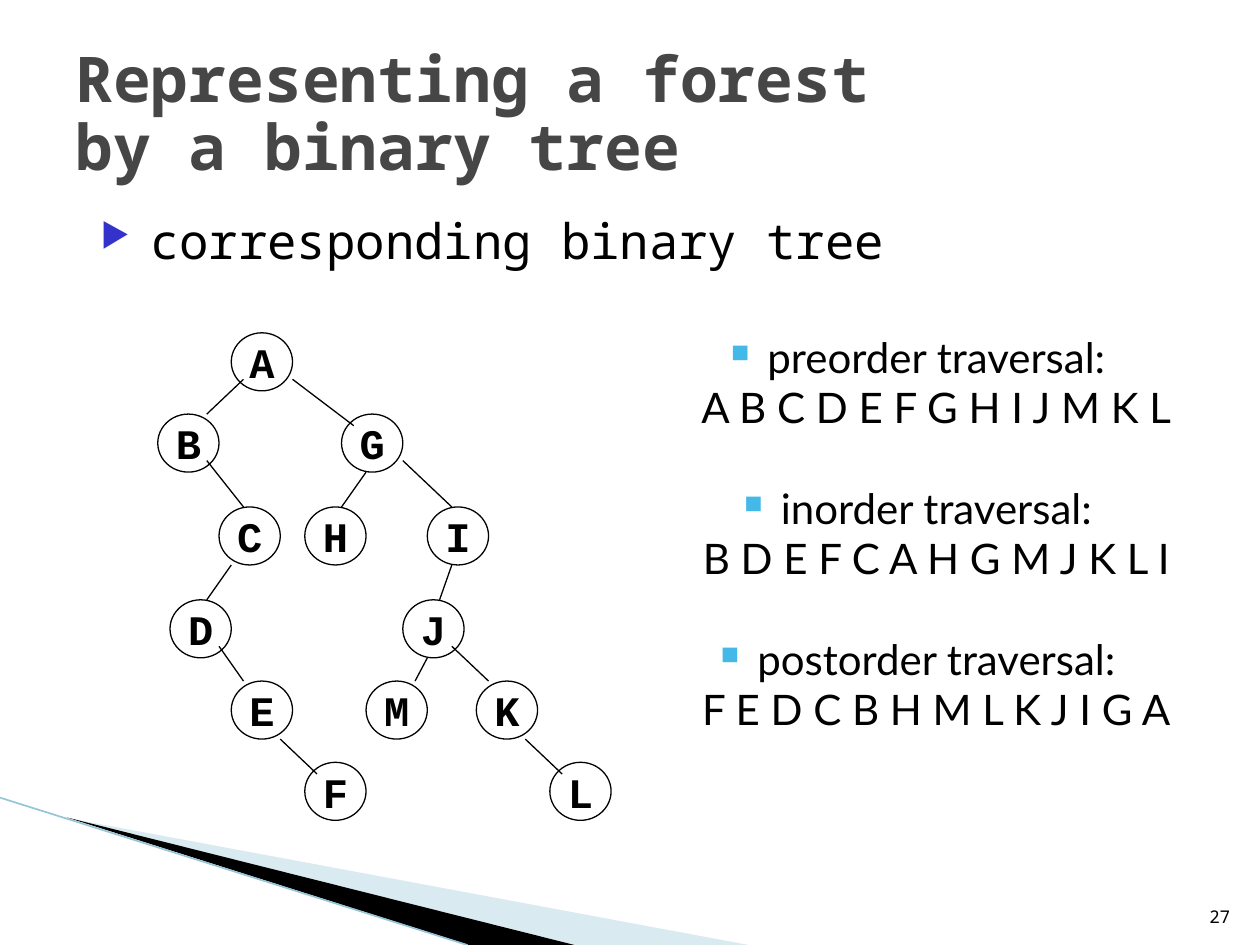
from lxml.etree import SubElement
from pptx import Presentation
from pptx.dml.color import RGBColor
from pptx.enum.shapes import MSO_CONNECTOR, MSO_SHAPE
from pptx.enum.text import MSO_ANCHOR, PP_ALIGN
from pptx.oxml.ns import qn
from pptx.util import Cm, Pt

MONO, SANS, CODE = "Noto Sans Mono", "Lato", "Courier New"
BLACK = "000000"

TITLE = "Representing a forest \vby a binary tree"
SUBTITLE = "corresponding binary tree"
TRAVERSALS = [
    ("preorder traversal:", "A B C D E F G H I J M K L"),
    ("inorder traversal:", "B D E F C A H G M J K L I"),
    ("postorder traversal:", "F E D C B H M L K J I G A"),
]
SLIDE_NUMBER = "27"

# The tree lies on a fine grid; a node is NODE_SPAN units wide and high.
TREE_LEFT, TREE_TOP = 3.18, 6.71
UNIT_X, UNIT_Y = 0.247, 0.234
NODE_SPAN = 5
NODES = {
    "A": (6, 0), "B": (0, 7), "C": (5, 15), "G": (15, 7), "D": (1, 23),
    "E": (6, 30), "F": (12, 37), "H": (12, 15), "I": (22, 15),
    "J": (20, 23), "M": (17, 30), "K": (26, 30), "L": (32, 37),
}
EDGES = [
    ((4, 7), (7, 4)), ((4, 11), (7, 15)), ((6, 20), (4, 23)),
    ((5, 27), (7, 30)), ((10, 35), (13, 38)), ((11, 4), (16, 8)),
    ((17, 12), (15, 15)), ((20, 11), (24, 15)), ((24, 20), (23, 23)),
    ((22, 28), (21, 30)), ((24, 27), (27, 30)), ((30, 35), (33, 38)),
]

# Corner wedges: points in cm, fill colour, opacity in percent
WEDGES = [
    ([(1.4, 16.5), (15.09, 19.05), (11.58, 19.05)], "A0CBDC", 40),
    ([(1.35, 16.48), (11.58, 19.05), (9.45, 19.05)], BLACK, 100),
]


def rgb(color):
    return RGBColor.from_string(color)


def set_bullet(paragraph, character, color, percent):
    properties = paragraph._p.get_or_add_pPr()
    bullet_color = SubElement(properties, qn("a:buClr"))
    SubElement(bullet_color, qn("a:srgbClr"), val=color)
    SubElement(properties, qn("a:buSzPct"), val=str(percent * 1000))
    SubElement(properties, qn("a:buChar"), char=character)


def write(paragraph, text, font=MONO, size=24, color=BLACK, bold=False,
          align=PP_ALIGN.LEFT, margin=0, bullet=None, before=0, spacing=None):
    """Fill a paragraph; bullet is (character, colour, percent), margin is in cm."""
    paragraph.text = text
    paragraph.alignment = align
    paragraph.space_before = Pt(before)
    if spacing:
        paragraph.line_spacing = spacing
    if margin:
        properties = paragraph._p.get_or_add_pPr()
        properties.set("marL", str(Cm(margin)))
        properties.set("indent", str(-Cm(margin) if bullet else 0))
    if bullet:
        set_bullet(paragraph, *bullet)
    for run in paragraph.runs:
        run.font.name = font
        run.font.size = Pt(size)
        run.font.bold = bold
        run.font.color.rgb = rgb(color)


def add_text_frame(slide, left, top, width, height, anchor=MSO_ANCHOR.TOP):
    box = slide.shapes.add_textbox(Cm(left), Cm(top), Cm(width), Cm(height))
    box.text_frame.word_wrap = True
    box.text_frame.vertical_anchor = anchor
    return box.text_frame


def add_line(slide, start, end, color=BLACK, width=0.75):
    points = [Cm(value) for value in (*start, *end)]
    line = slide.shapes.add_connector(MSO_CONNECTOR.STRAIGHT, *points)
    line.line.color.rgb = rgb(color)
    line.line.width = Pt(width)
    SubElement(line._element.spPr, qn("a:effectLst"))


def add_wedge(slide, points, color, opacity):
    corners = [(Cm(x), Cm(y)) for x, y in points]
    builder = slide.shapes.build_freeform(*corners[0])
    builder.add_line_segments(corners[1:], close=True)
    wedge = builder.convert_to_shape()
    wedge.shadow.inherit = False
    wedge.fill.solid()
    wedge.fill.fore_color.rgb = rgb(color)
    wedge.line.fill.background()
    if opacity < 100:
        fill = wedge._element.spPr.find(qn("a:solidFill"))
        SubElement(fill[0], qn("a:alpha"), val=str(opacity * 1000))


def grid_point(column, row):
    return TREE_LEFT + column * UNIT_X, TREE_TOP + row * UNIT_Y


def add_node(slide, letter, column, row):
    left, top = grid_point(column, row)
    node = slide.shapes.add_shape(
        MSO_SHAPE.OVAL, Cm(left), Cm(top),
        Cm(NODE_SPAN * UNIT_X), Cm(NODE_SPAN * UNIT_Y))
    node.shadow.inherit = False
    node.fill.background()
    node.line.color.rgb = rgb(BLACK)
    node.line.width = Pt(0.75)
    frame = node.text_frame
    frame.word_wrap = False
    frame.vertical_anchor = MSO_ANCHOR.MIDDLE
    write(frame.paragraphs[0], letter, font=CODE, bold=True, align=PP_ALIGN.CENTER)


def add_traversals(slide):
    frame = add_text_frame(slide, 12.7, 6.55, 11.61, 8.38)
    style = {"font": SANS, "align": PP_ALIGN.CENTER, "margin": 0.74}
    for index, (name, order) in enumerate(TRAVERSALS):
        heading = frame.add_paragraph() if index else frame.paragraphs[0]
        write(heading, name, bullet=("■", "44B9E8", 60),
              before=28.8 if index else 0, **style)
        write(frame.add_paragraph(), order, **style)


def main():
    presentation = Presentation()
    presentation.slide_width, presentation.slide_height = Cm(25.4), Cm(19.05)
    slide = presentation.slides.add_slide(presentation.slide_layouts[6])

    for points, color, opacity in WEDGES:
        add_wedge(slide, points, color, opacity)
    add_line(slide, (0, 16.08), (9.42, 19.05), color="97C5D8", width=0.95)

    title = add_text_frame(slide, 1.27, 0.76, 22.86, 3.18, MSO_ANCHOR.MIDDLE)
    write(title.paragraphs[0], TITLE, size=36, color="464646", bold=True, spacing=0.9)
    body = add_text_frame(slide, 1.78, 4.11, 22.91, 14.2)
    write(body.paragraphs[0], SUBTITLE, size=28, margin=1, bullet=("▶", "3333CC", 68))

    for letter, (column, row) in NODES.items():
        add_node(slide, letter, column, row)
    for start, end in EDGES:
        add_line(slide, grid_point(*start), grid_point(*end))

    add_traversals(slide)
    number = add_text_frame(slide, 24.03, 17.8, 1.02, 1.02, MSO_ANCHOR.BOTTOM)
    write(number.paragraphs[0], SLIDE_NUMBER, size=10, align=PP_ALIGN.RIGHT)

    presentation.save("out.pptx")


if __name__ == "__main__":
    main()
